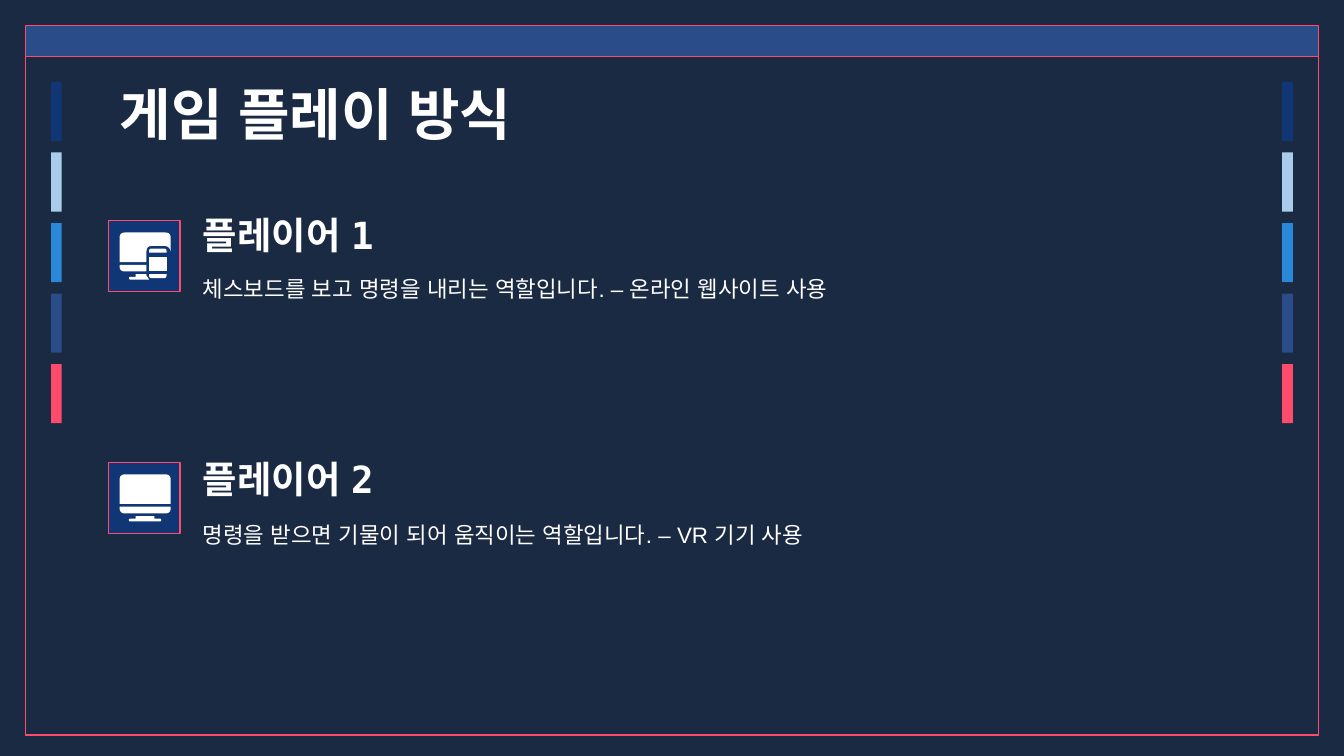
from dataclasses import dataclass
from math import dist

from lxml.etree import SubElement as Sub
from pptx import Presentation
from pptx.dml.color import RGBColor as RGB
from pptx.enum.shapes import MSO_SHAPE as Shape
from pptx.enum.text import MSO_ANCHOR as Anchor, MSO_AUTO_SIZE as Fit, PP_ALIGN as Align
from pptx.oxml.ns import qn
from pptx.util import Inches, Pt


@dataclass(frozen=True)
class Theme:
    back: RGB = RGB.from_string("1A2A42")
    navy: RGB = RGB.from_string("103675")
    pale: RGB = RGB.from_string("A9CCEA")
    sky: RGB = RGB.from_string("2A88D8")
    blue: RGB = RGB.from_string("2A4C89")
    pink: RGB = RGB.from_string("FE4A6B")
    white: RGB = RGB.from_string("FFFFFF")
    head: str = "DejaVu Sans Mono"
    body: str = "Arial"
    title: int = 30
    name: int = 20
    note: int = 12


theme = Theme()


def style(shape, fill=None, line=None):
    shape.shadow.inherit = False
    if fill is None:
        shape.fill.background()
    else:
        shape.fill.solid()
        shape.fill.fore_color.rgb = fill
    if line is None:
        shape.line.fill.background()
    else:
        shape.line.color.rgb = line
        shape.line.width = Pt(0.75)


def write(shape, text, box, size, face, bold=True, anchor=Anchor.TOP):
    shape.left, shape.top, shape.width, shape.height = map(Inches, box)
    frame = shape.text_frame
    frame.text = text
    frame.word_wrap = True
    frame.auto_size = Fit.NONE
    frame.vertical_anchor = anchor
    frame.margin_left = frame.margin_right = Inches(0.1)
    frame.margin_top = frame.margin_bottom = Inches(0.1)
    para = frame.paragraphs[0]
    para.alignment = Align.LEFT
    para.font.size = Pt(size)
    para.font.name = face
    para.font.bold = bold
    para.font.color.rgb = theme.white
    # East Asian face, which sets the width of the Korean spaces
    Sub(para._p.pPr.find(qn("a:defRPr")), qn("a:ea"), typeface=theme.body)


deck = Presentation()
deck.slide_width = Inches(10)
deck.slide_height = deck.slide_width * 9 // 16
slide = deck.slides.add_slide(deck.slide_layouts[5])
slide.background.fill.solid()
slide.background.fill.fore_color.rgb = theme.back
shapes = slide.shapes

# Frame and top band
for top, height, fill in [(0.38, 5.09, None), (0.19, 0.23, theme.blue)]:
    box = map(Inches, (0.19, top, 9.62, height))
    style(shapes.add_shape(Shape.RECTANGLE, *box), fill, theme.pink)

# Colour bars on both sides
bars = [theme.navy, theme.pale, theme.sky, theme.blue, theme.pink]
for left in (0.38, 9.54):
    for i, color in enumerate(bars):
        box = map(Inches, (left, 0.61 + i * 2.1 / 4, 0.08, 0.44))
        style(shapes.add_shape(Shape.RECTANGLE, *box), color)

# Title
write(shapes.title, "게임 플레이 방식", (0.79, 0.49, 8.43, 0.63), theme.title, theme.head)

# Icon outlines: corners as x, y, radius, measured from the tile
pair = [
    [(0.08, 0.09, 0.04), (0.46, 0.09, 0.04), (0.46, 0.23, 0), (0.45, 0.19, 0.04),
     (0.28, 0.19, 0.04), (0.28, 0.31, 0), (0.08, 0.31, 0)],
    [(0.08, 0.33, 0), (0.28, 0.33, 0), (0.28, 0.38, 0), (0.08, 0.38, 0.04)],
    [(0.2, 0.4, 0), (0.28, 0.4, 0), (0.28, 0.41, 0), (0.3, 0.44, 0),
     (0.15, 0.44, 0.01), (0.15, 0.42, 0.01), (0.2, 0.42, 0)],
    [(0.3, 0.21, 0.02), (0.43, 0.21, 0.02), (0.43, 0.24, 0), (0.3, 0.24, 0)],
    [(0.3, 0.27, 0), (0.43, 0.27, 0), (0.43, 0.38, 0), (0.3, 0.38, 0)],
    [(0.3, 0.4, 0), (0.43, 0.4, 0), (0.43, 0.43, 0.02), (0.3, 0.43, 0.02)],
]
screen = [
    [(0.08, 0.09, 0.04), (0.46, 0.09, 0.04), (0.46, 0.31, 0), (0.08, 0.31, 0)],
    [(0.08, 0.33, 0), (0.46, 0.33, 0), (0.46, 0.38, 0.04), (0.08, 0.38, 0.04)],
    [(0.2, 0.4, 0), (0.34, 0.4, 0), (0.34, 0.42, 0), (0.39, 0.42, 0.01),
     (0.39, 0.44, 0.01), (0.15, 0.44, 0.01), (0.15, 0.42, 0.01), (0.2, 0.42, 0)],
]

# Players: tile top, name top, note top, note height, name, note, icon
players = [
    (1.64, 1.48, 1.95, 0.88, "플레이어 1",
     "체스보드를 보고 명령을 내리는 역할입니다. – 온라인 웹사이트 사용", pair),
    (3.44, 3.3, 3.78, 1.09, "플레이어 2",
     "명령을 받으면 기물이 되어 움직이는 역할입니다. – VR 기기 사용", screen),
]
for top, head, below, height, name, note, icon in players:
    write(shapes.add_textbox(0, 0, 0, 0), name, (1.41, head, 7.81, 0.53),
          theme.name, theme.head, anchor=Anchor.BOTTOM)
    write(shapes.add_textbox(0, 0, 0, 0), note, (1.41, below, 7.81, height),
          theme.note, theme.body, bold=False)
    tile = shapes.add_shape(Shape.RECTANGLE, *map(Inches, (0.81, top, 0.53, 0.53)))
    style(tile, theme.navy, theme.pink)

    for part in icon:
        dots = []
        for i, (x, y, r) in enumerate(part):
            # Round each corner with a quadratic curve
            ends = []
            for px, py, _ in (part[i - 1], part[(i + 1) % len(part)]):
                t = r / dist((x, y), (px, py))
                ends.append((x + t * (px - x), y + t * (py - y)))
            (ax, ay), (bx, by) = ends
            for t in [k / 6 for k in range(7)] if r else [0]:
                u = 1 - t
                dots.append((Inches(0.81 + u * u * ax + 2 * u * t * x + t * t * bx),
                             Inches(top + u * u * ay + 2 * u * t * y + t * t * by)))
        pen = shapes.build_freeform(*dots[0])
        pen.add_line_segments(dots[1:], close=True)
        style(pen.convert_to_shape(), theme.white)

deck.save("out.pptx")
